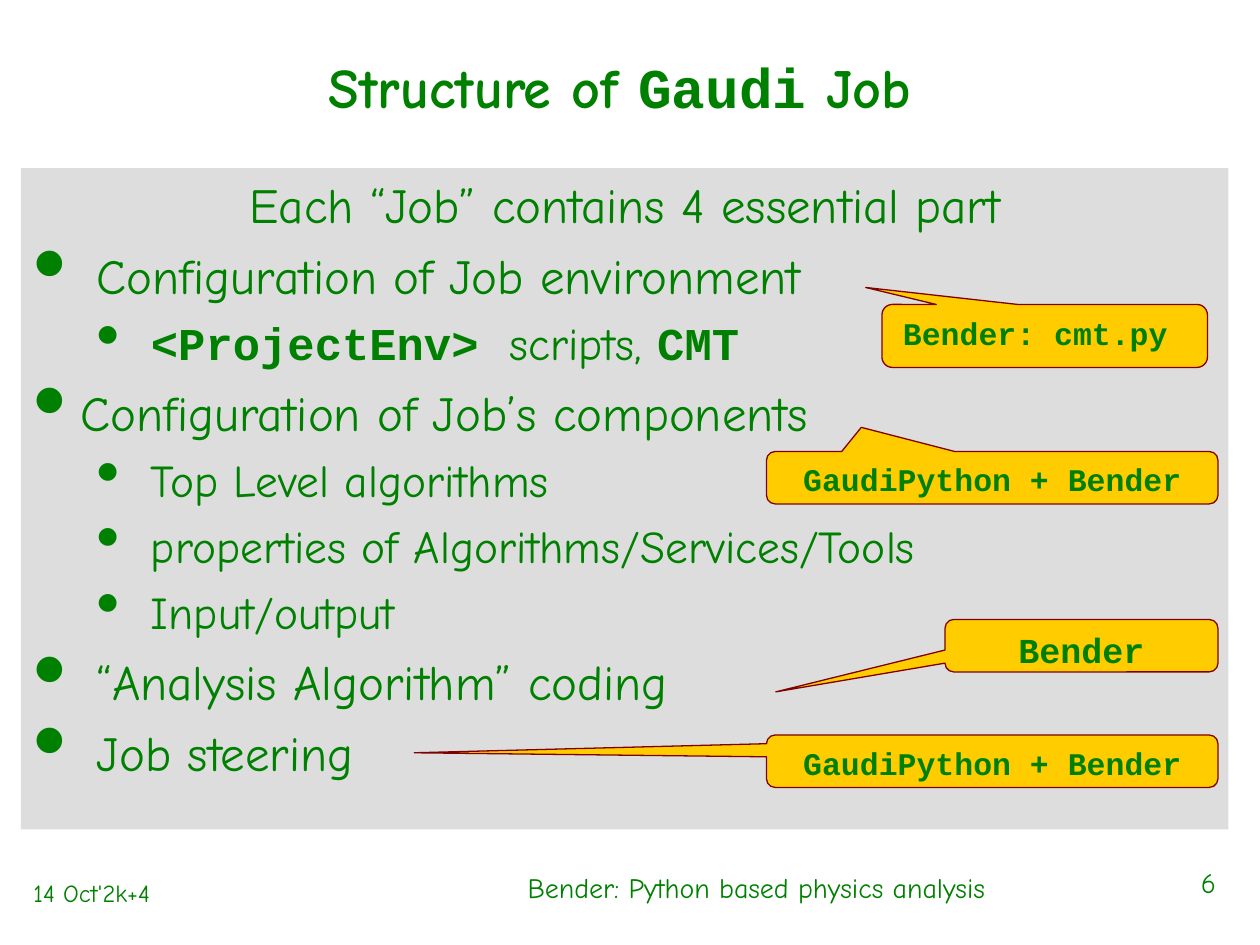
from dataclasses import dataclass

from lxml import etree
from pptx import Presentation
from pptx.dml.color import RGBColor
from pptx.enum.shapes import MSO_SHAPE
from pptx.enum.text import MSO_ANCHOR, MSO_AUTO_SIZE, PP_ALIGN
from pptx.oxml.ns import qn
from pptx.util import Pt

EMU_PER_PX = 9525
TITLE_ONLY = 5
LEFT, CENTER, RIGHT = PP_ALIGN.LEFT, PP_ALIGN.CENTER, PP_ALIGN.RIGHT
TOP, MIDDLE = MSO_ANCHOR.TOP, MSO_ANCHOR.MIDDLE
RECTANGLE = MSO_SHAPE.RECTANGLE
CALLOUT = MSO_SHAPE.ROUNDED_RECTANGULAR_CALLOUT
NO_AUTOFIT = MSO_AUTO_SIZE.NONE


@dataclass(frozen=True)
class Theme:
    text: str = "008000"
    panel: str = "DDDDDD"
    callout: str = "FFCC00"
    callout_line: str = "800000"
    font: str = "Comic Neue"
    code_font: str = "Courier New"
    title_size: int = 32
    body_sizes: tuple = (28, 26)
    space_before: tuple = (7, 6.5)
    bullet_percents: tuple = (200, 150)
    margins: tuple = (36, 78)
    hangs: tuple = (36, 30)
    footer_size: int = 16
    date_size: int = 14


def px(value):
    return value * EMU_PER_PX


class SlideBuilder:
    def __init__(self, slide, theme):
        self.slide = slide
        self.theme = theme

    def add_runs(self, paragraph, pieces, size, bold=False):
        """Add (text, is_code) pieces; code is bold in the code font."""
        for text, is_code in pieces:
            run = paragraph.add_run()
            run.text = text
            font = run.font
            font.name = self.theme.code_font if is_code else self.theme.font
            font.size = Pt(size)
            font.bold = bold or is_code
            font.color.rgb = RGBColor.from_string(self.theme.text)

    def frame(self, shape, anchor):
        text_frame = shape.text_frame
        text_frame.word_wrap = True
        text_frame.auto_size = NO_AUTOFIT
        text_frame.vertical_anchor = anchor
        return text_frame

    def title(self, box, pieces):
        shape = self.slide.shapes.title
        shape.left, shape.top, shape.width, shape.height = map(px, box)
        paragraph = self.frame(shape, MIDDLE).paragraphs[0]
        paragraph.alignment = CENTER
        paragraph.line_spacing = 0.7
        self.add_runs(paragraph, pieces, self.theme.title_size, bold=True)

    def filled_shape(self, kind, box, color):
        shape = self.slide.shapes.add_shape(kind, *map(px, box))
        shape.shadow.inherit = False
        shape.fill.solid()
        shape.fill.fore_color.rgb = RGBColor.from_string(color)
        return shape

    def add_bullet(self, paragraph, level):
        theme = self.theme
        paragraph.level = level
        properties = paragraph._p.get_or_add_pPr()
        properties.set("marL", str(px(theme.margins[level])))
        properties.set("indent", str(-px(theme.hangs[level])))
        color = etree.SubElement(properties, qn("a:buClr"))
        etree.SubElement(color, qn("a:srgbClr"), val=theme.text)
        percent = theme.bullet_percents[level] * 1000
        etree.SubElement(properties, qn("a:buSzPct"), val=str(percent))
        etree.SubElement(properties, qn("a:buChar"), char="•")

    def panel(self, box, heading, items):
        """Draw the grey panel with a centred heading and (level, pieces) bullets."""
        theme = self.theme
        shape = self.filled_shape(RECTANGLE, box, theme.panel)
        shape.line.fill.background()
        text_frame = self.frame(shape, TOP)
        paragraph = text_frame.paragraphs[0]
        paragraph.alignment = CENTER
        paragraph.space_before = Pt(theme.space_before[0])
        self.add_runs(paragraph, [(heading, False)], theme.body_sizes[0])
        for level, pieces in items:
            paragraph = text_frame.add_paragraph()
            paragraph.alignment = LEFT
            paragraph.space_before = Pt(theme.space_before[level])
            self.add_bullet(paragraph, level)
            self.add_runs(paragraph, pieces, theme.body_sizes[level])

    def callout(self, box, tip, text, size, space_before):
        """Draw a callout; tip is its offset from the centre as shares of the size."""
        shape = self.filled_shape(CALLOUT, box, self.theme.callout)
        shape.line.color.rgb = RGBColor.from_string(self.theme.callout_line)
        shape.line.width = Pt(0.75)
        shape.adjustments[0], shape.adjustments[1] = tip
        paragraph = self.frame(shape, TOP).paragraphs[0]
        paragraph.alignment = CENTER
        paragraph.space_before = Pt(space_before)
        self.add_runs(paragraph, [(text, True)], size)

    def label(self, box, text, size, alignment):
        shape = self.slide.shapes.add_textbox(*map(px, box))
        paragraph = self.frame(shape, MIDDLE).paragraphs[0]
        paragraph.alignment = alignment
        self.add_runs(paragraph, [(text, False)], size)


def main():
    presentation = Presentation()
    presentation.slide_width, presentation.slide_height = px(960), px(720)
    slide = presentation.slides.add_slide(presentation.slide_layouts[TITLE_ONLY])
    theme = Theme()
    builder = SlideBuilder(slide, theme)

    builder.title((108, 40, 744, 64),
                  [("Structure of ", False), ("Gaudi", True), (" Job ", False)])
    builder.panel((16, 128, 920, 504), " Each “Job” contains 4 essential part ", [
        (0, [(" Configuration of Job environment", False)]),
        (1, [(" ", False), ("<ProjectEnv>", True), ("  scripts, ", False), ("CMT", True)]),
        (0, [("Configuration of Job’s components", False)]),
        (1, [(" Top Level algorithms", False)]),
        (1, [(" properties of Algorithms/Services/Tools", False)]),
        (1, [(" Input/output", False)]),
        (0, [(" “Analysis Algorithm” coding", False)]),
        (0, [(" Job steering", False)]),
    ])

    for callout in [
        ((672, 232, 248, 48), (-0.55, -0.77), "Bender: cmt.py ", 18, 4),
        ((584, 344, 344, 40), (-0.29, -0.96), "GaudiPython + Bender", 18, 4.5),
        ((720, 472, 208, 40), (-1.12, 0.88), "Bender", 20, 5),
        ((584, 560, 344, 40), (-1.28, -0.16), "GaudiPython + Bender", 18, 4.5),
    ]:
        builder.callout(*callout)

    builder.label((320, 648, 520, 56), "Bender: Python based physics analysis ",
                  theme.footer_size, CENTER)
    builder.label((848, 648, 88, 48), "6", theme.footer_size, RIGHT)
    builder.label((16, 656, 296, 48), "14 Oct'2k+4", theme.date_size, LEFT)
    presentation.save("out.pptx")


if __name__ == "__main__":
    main()
